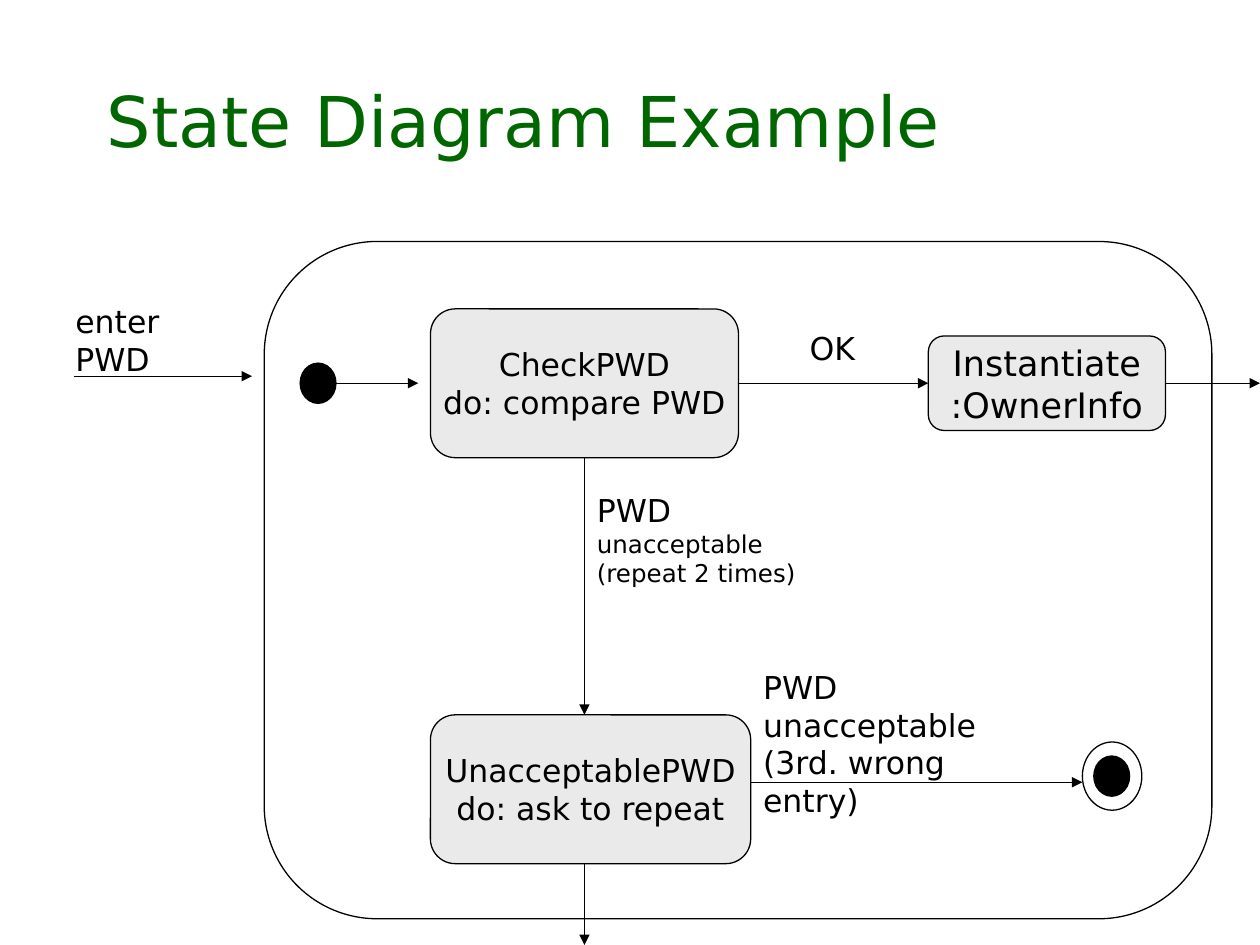
import pptx
import pptx.dml.color
import pptx.enum.shapes
import pptx.enum.text
import pptx.oxml
import pptx.oxml.ns
import pptx.util

Pt = pptx.util.Pt
SHAPE = pptx.enum.shapes.MSO_SHAPE
ANCHOR = pptx.enum.text.MSO_ANCHOR
ALIGN = pptx.enum.text.PP_ALIGN
BLACK = pptx.dml.color.RGBColor(0x00, 0x00, 0x00)
GREY = pptx.dml.color.RGBColor(0xEA, 0xEA, 0xEA)
GREEN = pptx.dml.color.RGBColor(0x00, 0x66, 0x00)
FONT = "DejaVu Sans"
TOP, LEFT, BOTTOM, RIGHT = range(4)

deck = pptx.Presentation()
deck.slide_width = Pt(720)
deck.slide_height = Pt(540)
page = deck.slides.add_slide(deck.slide_layouts[6])


def add_outline(kind, place, fill=None):
    shape = page.shapes.add_shape(kind, *map(Pt, place))
    shape.shadow.inherit = False
    if fill is None:
        shape.fill.background()
    else:
        shape.fill.solid()
        shape.fill.fore_color.rgb = fill
    shape.line.color.rgb = BLACK
    shape.line.width = Pt(0.75)
    return shape


def write_lines(box, lines, color=BLACK, align=ALIGN.LEFT):
    frame = box.text_frame
    for index, spans in enumerate(lines):
        para = frame.paragraphs[0] if index == 0 else frame.add_paragraph()
        para.alignment = align
        para.font.name = FONT
        para.font.color.rgb = color
        sizes = {size for text, size in spans}
        if len(sizes) == 1:
            para.font.size = Pt(sizes.pop())
        for text, size in spans:
            span = para.add_run()
            span.text = text
            if para.font.size is None:
                span.font.size = Pt(size)


title = page.shapes.add_textbox(Pt(54), Pt(48), Pt(612), Pt(48))
title.text_frame.word_wrap = True
title.text_frame.vertical_anchor = ANCHOR.BOTTOM
write_lines(title, [[("State Diagram Example", 40)]], GREEN)

add_outline(SHAPE.ROUNDED_RECTANGLE, (151, 138, 541.5, 387))

states = {}
for name, action, size, place in [
    ("CheckPWD", "do: compare PWD", 18, (246, 176.5, 176, 85)),
    ("Instantiate", ":OwnerInfo", 20, (530.5, 192, 135.5, 54)),
    ("UnacceptablePWD", "do: ask to repeat", 18, (246, 408.5, 183, 85)),
]:
    state = add_outline(SHAPE.ROUNDED_RECTANGLE, place, GREY)
    state.text_frame.word_wrap = False
    state.text_frame.vertical_anchor = ANCHOR.MIDDLE
    write_lines(state, [[(name, size)], [(action, size)]], align=ALIGN.CENTER)
    states[name] = state

add_outline(SHAPE.OVAL, (171.5, 207.5, 20.5, 23), BLACK)
add_outline(SHAPE.OVAL, (618.5, 424, 34, 39))
add_outline(SHAPE.OVAL, (625, 432, 20.5, 23), BLACK)

check = states["CheckPWD"]
instantiate = states["Instantiate"]
for ends, source, target in [
    ((42.5, 215, 144, 215), None, None),
    ((192, 219, 239, 219), None, None),
    ((422, 219, 530.5, 219), (check, RIGHT), (instantiate, LEFT)),
    ((666, 219, 720, 219), (instantiate, RIGHT), None),
    ((334, 261.5, 334, 408.5), (check, BOTTOM), None),
    ((429, 447, 618.5, 447), None, None),
    ((334, 493.5, 334, 540), None, None),
]:
    arrow = page.shapes.add_connector(
        pptx.enum.shapes.MSO_CONNECTOR.STRAIGHT, *map(Pt, ends)
    )
    arrow.line.color.rgb = BLACK
    arrow.line.width = Pt(0.75)
    if source:
        arrow.begin_connect(*source)
    if target:
        arrow.end_connect(*target)
    head = pptx.oxml.parse_xml(
        f'<a:tailEnd {pptx.oxml.ns.nsdecls("a")} type="triangle"/>'
    )
    arrow.line._get_or_add_ln().append(head)
    effects = pptx.oxml.parse_xml(f'<a:effectLst {pptx.oxml.ns.nsdecls("a")}/>')
    arrow._element.spPr.append(effects)

for place, lines in [
    ((36, 169, 107, 37.5), [[("enter PWD", 18)]]),
    ((455.5, 184.5, 45.5, 37.5), [[("OK", 18)]]),
    (
        (334, 277, 149, 81.5),
        [[("PWD ", 18), ("unacceptable", 14)], [("(repeat 2 times)", 14)]],
    ),
    (
        (429, 378, 173, 65),
        [[("PWD unacceptable", 18)], [("(3rd. wrong entry)", 18)]],
    ),
]:
    label = page.shapes.add_textbox(*map(Pt, place))
    label.text_frame.word_wrap = True
    write_lines(label, lines)

deck.save("out.pptx")
